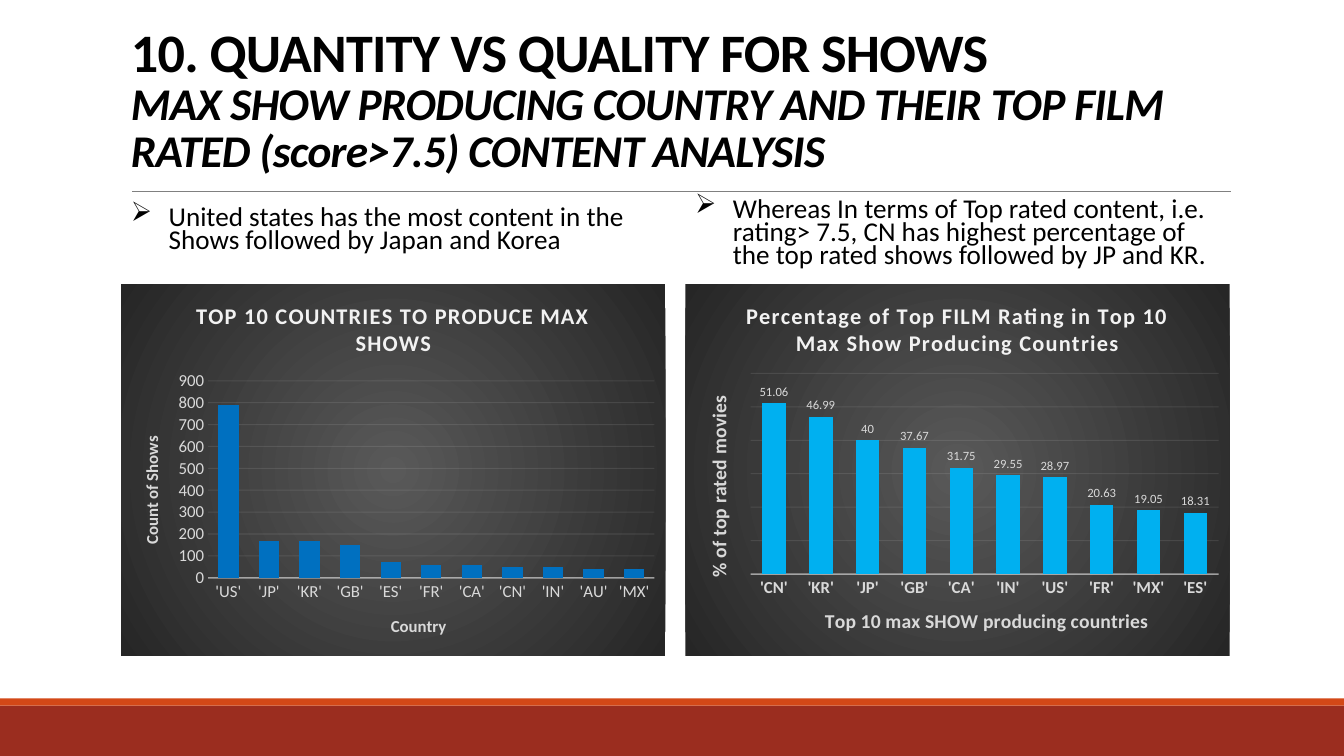
from dataclasses import dataclass

import lxml.etree
import pptx
import pptx.chart.data
import pptx.dml.color
import pptx.enum.chart
import pptx.enum.shapes
import pptx.enum.text
import pptx.oxml.ns
import pptx.util

Cm = pptx.util.Cm
Pt = pptx.util.Pt
qn = pptx.oxml.ns.qn
FONT = "Calibri"


@dataclass
class Bar:
    top: float
    height: float
    color: str


@dataclass
class Bullet:
    left: float
    top: float
    height: float
    text: str


@dataclass
class AxisTitle:
    text: str
    size: int
    x: float
    y: float


@dataclass
class ColumnChart:
    left: float
    title: str
    values: dict[str, float]
    color: str
    cat_title: AxisTitle
    val_title: AxisTitle
    plot: tuple[float, float, float, float]
    top_value: int
    step: int
    bold: bool
    labels: bool


BARS = [Bar(17.78, 1.27, "9B2D1F"), Bar(17.6, 0.18, "D34817")]
BULLETS = [
    Bullet(3.05, 5.13, 2.06, "United states has the most content in the Shows followed by Japan and Korea"),
    Bullet(17.27, 4.93, 2.24, "Whereas In terms of Top rated content, i.e. rating> 7.5, CN has highest "
           "percentage of the top rated shows followed by JP and KR."),
]
CHARTS = [
    ColumnChart(
        3.05, "TOP 10 COUNTRIES TO PRODUCE MAX SHOWS",
        {"'US'": 790, "'JP'": 170, "'KR'": 170, "'GB'": 150, "'ES'": 70, "'FR'": 60,
         "'CA'": 60, "'CN'": 50, "'IN'": 50, "'AU'": 40, "'MX'": 40},
        "0070C0", AxisTitle("Country", 12, 0.49, 0.88), AxisTitle("Count of Shows", 12, 0.03, 0.4),
        (0.16, 0.26, 0.82, 0.53), 900, 100, False, False),
    ColumnChart(
        17.27, "Percentage of Top FILM Rating in Top 10 Max Show Producing Countries",
        {"'CN'": 51.06, "'KR'": 46.99, "'JP'": 40, "'GB'": 37.67, "'CA'": 31.75,
         "'IN'": 29.55, "'US'": 28.97, "'FR'": 20.63, "'MX'": 19.05, "'ES'": 18.31},
        "00B0F0", AxisTitle("Top 10 max SHOW producing countries", 14, 0.25, 0.86),
        AxisTitle("% of top rated movies", 14, 0.03, 0.29),
        (0.12, 0.24, 0.86, 0.54), 60, 10, True, True),
]


def rgb(color: str) -> pptx.dml.color.RGBColor:
    return pptx.dml.color.RGBColor.from_string(color)


def set_font(font, size: float, color: str, bold: bool = False) -> None:
    font.name = FONT
    font.size = Pt(size)
    font.bold = bold
    font.color.rgb = rgb(color)


def set_spacing(r, spacing: int) -> None:
    r.font._element.set("spc", str(spacing))


def set_line(line, color: str, width: float) -> None:
    line.color.rgb = rgb(color)
    line.width = Pt(width)


def fade(parent, percent: int) -> None:
    for clr in parent.iter(qn("a:srgbClr")):
        lxml.etree.SubElement(clr, qn("a:alpha")).set("val", str(percent * 1000))


def set_layout(parent, index: int, inner: bool, **fractions: float) -> None:
    for old in parent.findall(qn("c:layout")):
        parent.remove(old)
    layout = lxml.etree.Element(qn("c:layout"))
    manual = lxml.etree.SubElement(layout, qn("c:manualLayout"))
    settings = {"layoutTarget": "inner"} if inner else {}
    settings |= {"xMode": "edge", "yMode": "edge"} | fractions
    for name, value in settings.items():
        lxml.etree.SubElement(manual, qn(f"c:{name}")).set("val", str(value))
    parent.insert(index, layout)


def set_gradient(chart) -> None:
    sp_pr = lxml.etree.Element(qn("c:spPr"))
    grad = lxml.etree.SubElement(sp_pr, qn("a:gradFill"))
    stops = lxml.etree.SubElement(grad, qn("a:gsLst"))
    for pos, color in ((0, "595959"), (100000, "262626")):
        gs = lxml.etree.SubElement(stops, qn("a:gs"), pos=str(pos))
        lxml.etree.SubElement(gs, qn("a:srgbClr"), val=color)
    circle = lxml.etree.SubElement(grad, qn("a:path"), path="circle")
    lxml.etree.SubElement(circle, qn("a:fillToRect"), l="50000", t="50000", r="50000", b="50000")
    ln = lxml.etree.SubElement(sp_pr, qn("a:ln"))
    lxml.etree.SubElement(ln, qn("a:noFill"))
    chart.element.find(qn("c:txPr")).addprevious(sp_pr)


def add_bar(s, bar: Bar) -> None:
    sp = s.shapes.add_shape(pptx.enum.shapes.MSO_SHAPE.RECTANGLE,
                            Cm(0), Cm(bar.top), Cm(33.87), Cm(bar.height))
    sp.shadow.inherit = False
    sp.fill.solid()
    sp.fill.fore_color.rgb = rgb(bar.color)
    sp.line.fill.background()


def add_rule(s) -> None:
    sp = s.shapes.add_connector(pptx.enum.shapes.MSO_CONNECTOR.STRAIGHT,
                                Cm(3.33), Cm(4.83), Cm(31.01), Cm(4.83))
    set_line(sp.line, "808080", 0.5)
    lxml.etree.SubElement(sp._element.spPr, qn("a:effectLst"))


def add_title(s) -> None:
    tf = s.shapes.add_textbox(Cm(3.05), Cm(0.79), Cm(27.94), Cm(3.78)).text_frame
    tf.word_wrap = True
    tf.vertical_anchor = pptx.enum.text.MSO_ANCHOR.BOTTOM
    p = tf.paragraphs[0]
    p.line_spacing = 0.85
    set_font(p.font, 38.7, "000000", True)
    r = p.add_run()
    r.text = "10. QUANTITY VS QUALITY FOR SHOWS"
    set_spacing(r, -50)
    p.add_line_break()
    r = p.add_run()
    r.text = "MAX SHOW PRODUCING COUNTRY AND THEIR TOP FILM RATED (score>7.5) CONTENT ANALYSIS"
    r.font.size = Pt(32.4)
    r.font.italic = True
    set_spacing(r, -50)


def add_bullet(s, bullet: Bullet) -> None:
    tf = s.shapes.add_textbox(Cm(bullet.left), Cm(bullet.top), Cm(13.72), Cm(bullet.height)).text_frame
    tf.word_wrap = True
    p = tf.paragraphs[0]
    p.text = bullet.text
    p.line_spacing = 0.7
    set_font(p.font, 19.4, "000000")
    p_pr = p._p.get_or_add_pPr()
    p_pr.set("marL", str(Cm(0.95)))
    p_pr.set("indent", str(-Cm(0.95)))
    bu = lxml.etree.Element(qn("a:buChar"), char="➢")
    p_pr.find(qn("a:defRPr")).addprevious(bu)


def add_axis_title(axis, title: AxisTitle) -> None:
    p = axis.axis_title.text_frame.paragraphs[0]
    p.text = title.text
    set_font(p.font, title.size, "D9D9D9", True)
    set_layout(axis.axis_title._element, 1, False, x=title.x, y=title.y)


def add_column_chart(s, spec: ColumnChart) -> None:
    data = pptx.chart.data.CategoryChartData()
    data.categories = list(spec.values)
    data.add_series("Series 1", list(spec.values.values()))
    chart = s.shapes.add_chart(pptx.enum.chart.XL_CHART_TYPE.COLUMN_CLUSTERED, Cm(spec.left),
                               Cm(7.16), Cm(13.72), Cm(9.37), data).chart
    set_font(chart.font, 12, "D9D9D9")
    set_gradient(chart)
    chart.has_legend = False
    p = chart.chart_title.text_frame.paragraphs[0]
    p.text = spec.title
    set_font(p.font, 16, "F2F2F2", True)
    set_spacing(p.runs[0], 100)

    cat, val = chart.category_axis, chart.value_axis
    for axis, title in ((cat, spec.cat_title), (val, spec.val_title)):
        axis.major_tick_mark = pptx.enum.chart.XL_TICK_MARK.NONE
        set_font(axis.tick_labels.font, 12, "D9D9D9", spec.bold)
        add_axis_title(axis, title)
    set_line(cat.format.line, "F2F2F2", 1)
    fade(cat._element.find(qn("c:spPr")), 54)
    set_line(val.major_gridlines.format.line, "F2F2F2", 0.75)
    fade(val._element.find(qn("c:majorGridlines")), 10)
    val.format.line.fill.background()
    val.minimum_scale, val.maximum_scale, val.major_unit = 0, spec.top_value, spec.step
    val.visible = not spec.labels

    plot = chart.plots[0]
    plot.gap_width, plot.overlap, plot.vary_by_categories = 100, -24, False
    fill = plot.series[0].format.fill
    fill.solid()
    fill.fore_color.rgb = rgb(spec.color)
    if spec.labels:
        plot.has_data_labels = True
        plot.data_labels.show_value = True
        plot.data_labels.position = pptx.enum.chart.XL_LABEL_POSITION.OUTSIDE_END
        set_font(plot.data_labels.font, 9, "D9D9D9")
    x, y, w, h = spec.plot
    set_layout(chart.element.chart.plotArea, 0, True, x=x, y=y, w=w, h=h)


def main() -> None:
    prs = pptx.Presentation()
    prs.slide_width, prs.slide_height = Cm(33.87), Cm(19.05)
    s = prs.slides.add_slide(prs.slide_layouts[6])
    for bar in BARS:
        add_bar(s, bar)
    add_rule(s)
    add_title(s)
    for bullet in BULLETS:
        add_bullet(s, bullet)
    for spec in CHARTS:
        add_column_chart(s, spec)
    prs.save("out.pptx")


if __name__ == "__main__":
    main()
